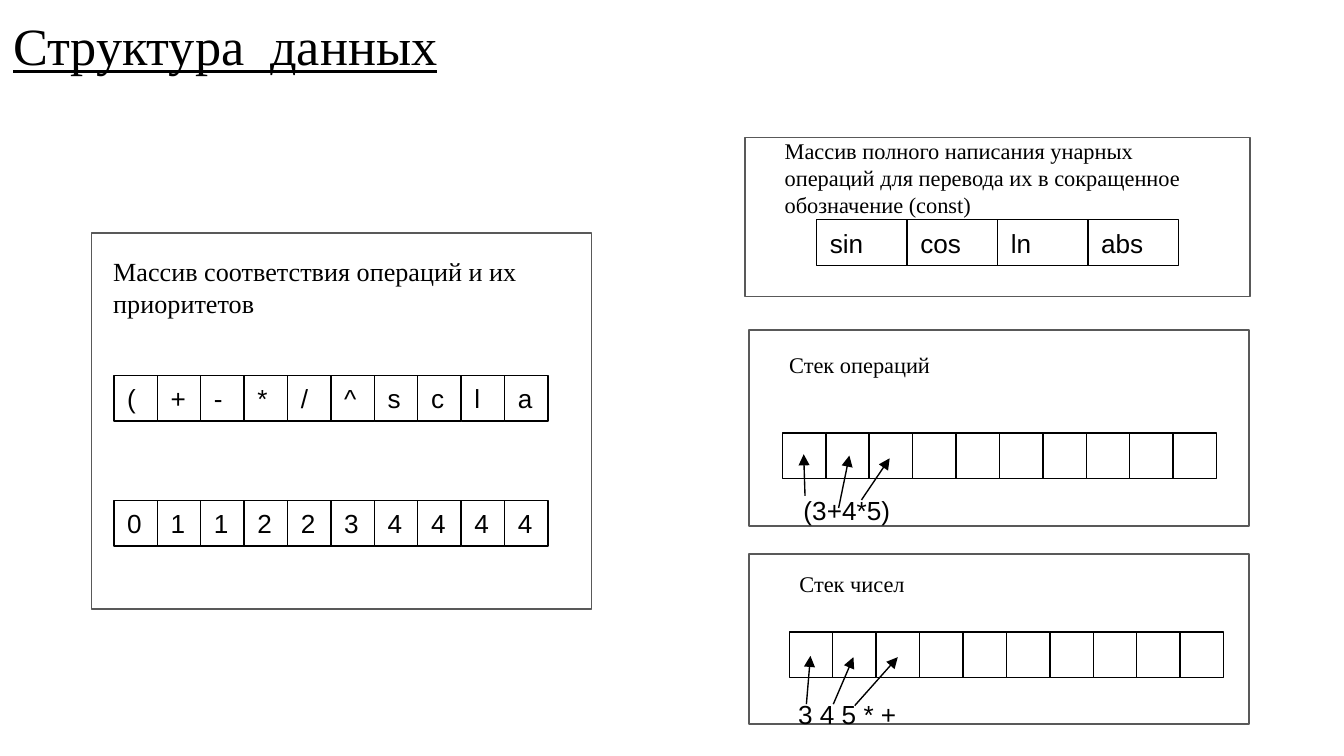
from lxml.etree import SubElement
from pptx import Presentation
from pptx.dml.color import RGBColor
from pptx.enum.shapes import MSO_CONNECTOR, MSO_SHAPE
from pptx.enum.text import MSO_ANCHOR, PP_ALIGN
from pptx.oxml.ns import qn
from pptx.util import Inches, Pt

# A 16:9 slide on a square grid, 100 columns wide; all lengths count grid units
SLIDE_W = Inches(10)
SLIDE_H = SLIDE_W * 9 // 16
UNIT = SLIDE_W / 100
CELL_W, WIDE_CELL_W, CELL_H = 3.23, 6.73, 3.4

COLORS = {"paper": "FFFFFF", "ink": "000000", "frame": "595959"}
SERIF, SANS = "Times New Roman", "Arial"


def grid(*values):
    return [round(v * UNIT) for v in values]


def color(name):
    return RGBColor.from_string(COLORS[name])


def write(sp, text, anchor=MSO_ANCHOR.TOP, underline=None, **font):
    tf = sp.text_frame
    frame = {"word_wrap": True, "vertical_anchor": anchor}
    for side in ("left", "top", "right", "bottom"):
        frame[f"margin_{side}"] = round(UNIT)
    for name, value in frame.items():
        setattr(tf, name, value)
    p = tf.paragraphs[0]
    p.alignment = PP_ALIGN.LEFT
    r = p.add_run()
    r.text = text
    for name, value in {"underline": underline, **font}.items():
        setattr(r.font, name, value)
    r.font.color.rgb = color("ink")


def add_label(s, box, text, size, font=SERIF, underline=None):
    sp = s.shapes.add_textbox(*grid(*box))
    write(sp, text, underline=underline, name=font, size=Pt(size))


def add_box(s, box, line):
    sp = s.shapes.add_shape(MSO_SHAPE.RECTANGLE, *grid(*box))
    sp.shadow.inherit = False
    sp.fill.solid()
    sp.fill.fore_color.rgb = color("paper")
    sp.line.color.rgb = color(line)
    sp.line.width = Pt(0.75)
    return sp


def add_array(s, left, top, values, width=CELL_W):
    for i, value in enumerate(values):
        sp = add_box(s, (left + i * width, top, width, CELL_H), "ink")
        if value:
            write(sp, value, MSO_ANCHOR.MIDDLE, name=SANS, size=Pt(14))


def add_arrow(s, start, end):
    cx = s.shapes.add_connector(MSO_CONNECTOR.STRAIGHT, *grid(*start, *end))
    cx.line.color.rgb = color("ink")
    cx.line.width = Pt(0.75)
    ln = cx._element.spPr.find(qn("a:ln"))
    SubElement(ln, qn("a:tailEnd"), type="triangle")
    SubElement(cx._element.spPr, qn("a:effectLst"))


def add_stack(s, frame, caption, caption_box, cells_at, formula, formula_box, arrows):
    add_box(s, frame, "frame")
    add_label(s, caption_box, caption, 12)
    add_array(s, *cells_at, [""] * 10)
    add_label(s, formula_box, formula, 14, SANS)
    for start, end in arrows:
        add_arrow(s, start, end)


def main():
    prs = Presentation()
    prs.slide_width, prs.slide_height = SLIDE_W, SLIDE_H
    s = prs.slides.add_slide(prs.slide_layouts[6])

    # Title
    add_label(s, (0, 0, 39.3, 5.9), "Структура  данных", 28, underline=True)

    # Operations and their priorities
    add_box(s, (6.8, 17.33, 37.2, 28), "frame")
    add_label(s, (7.44, 18.03, 38.2, 5.9),
              "Массив соответствия операций и их приоритетов", 14)
    for top, values in ((27.93, "(+-*/^scla"), (37.23, "0112234444")):
        add_array(s, 8.48, top, values)

    # Full names of the unary operations
    add_box(s, (55.43, 10.23, 37.6, 11.85), "frame")
    add_array(s, 60.76, 16.36, ["sin", "cos", "ln", "abs"], WIDE_CELL_W)
    add_label(s, (57.4, 9.2, 33.3, 5.6),
              "Массив полного написания унарных операций для перевода "
              "их в сокращенное обозначение (const)", 12)

    # Stack of operations
    add_stack(s, (55.74, 24.56, 37.2, 14.6),
              "Стек операций", (57.74, 25.1, 32.6, 5), (58.22, 32.23),
              "(3+4*5)", (58.8, 35.8, 29.9, 2.4),
              [((64.1, 37.2), (66.2, 34.1)),
               ((62.4, 37.8), (63.2, 33.9)),
               ((59.9, 36.9), (59.8, 33.8))])

    # Stack of numbers
    add_stack(s, (55.74, 41.23, 37.2, 12.66),
              "Стек чисел", (58.5, 41.46, 32.6, 3.6), (58.74, 47.03),
              "3 4 5 * +", (58.4, 51, 19.2, 2.4),
              [((60, 52.4), (60.3, 48.8)),
               ((62, 52.4), (63.5, 48.9)),
               ((63.6, 52.5), (66.8, 48.9))])

    prs.save("out.pptx")


if __name__ == "__main__":
    main()
